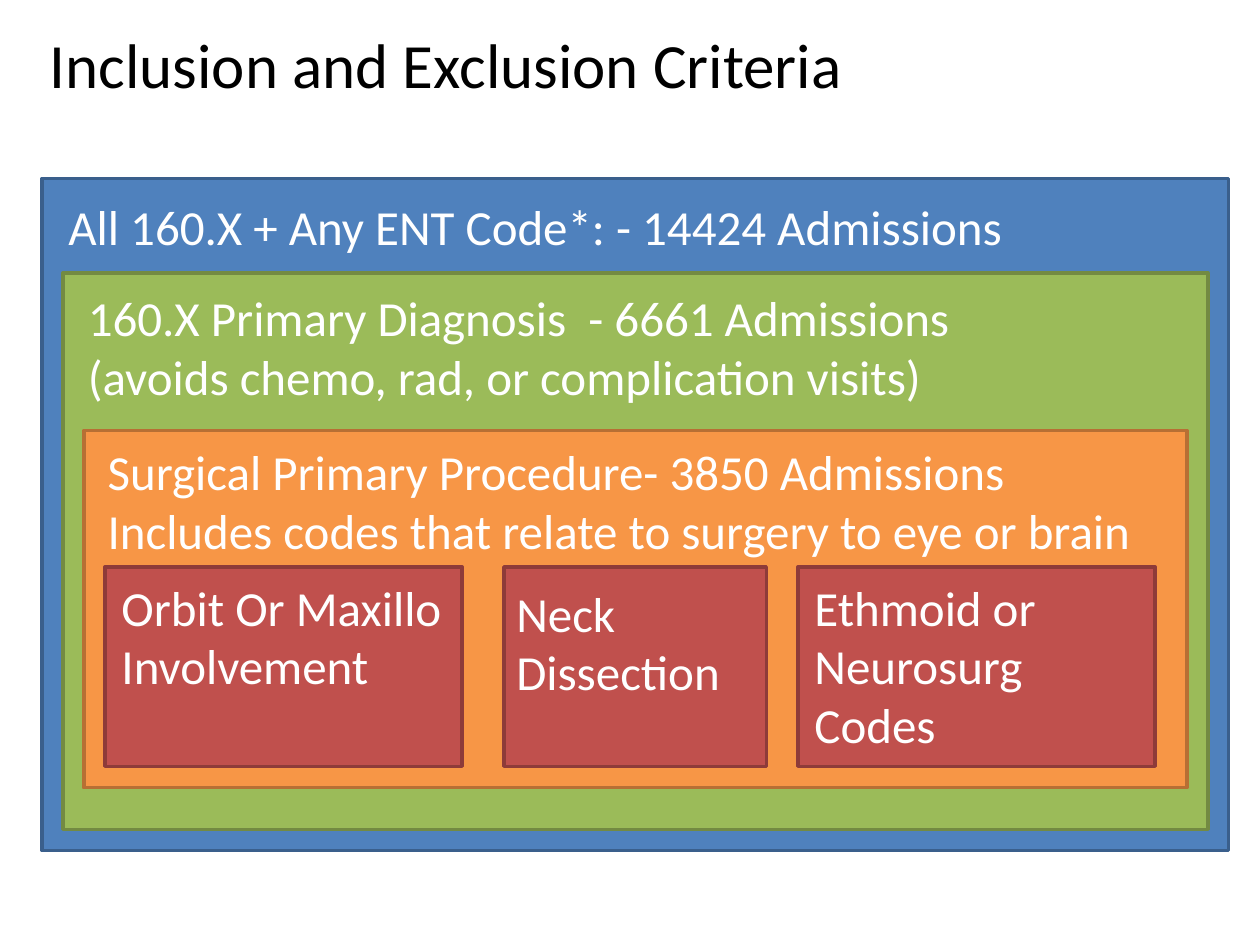
"""Build the slide of nested inclusion and exclusion criteria."""
from pptx import Presentation
from pptx.dml.color import RGBColor
from pptx.enum.shapes import MSO_SHAPE
from pptx.enum.text import MSO_ANCHOR, PP_ALIGN
from pptx.util import Cm, Pt

RECTANGLE = MSO_SHAPE.RECTANGLE
TOP, MIDDLE = MSO_ANCHOR.TOP, MSO_ANCHOR.MIDDLE
LEFT, CENTER = PP_ALIGN.LEFT, PP_ALIGN.CENTER

COLORS = {
    "black": "000000", "white": "FFFFFF",
    "blue": "4F81BD", "blue line": "3A5F8C",
    "green": "9BBB59", "green line": "738A42",
    "orange": "F79646", "orange line": "B76F34",
    "red": "C0504D", "red line": "8E3B39",
}
TITLE = "Inclusion and Exclusion Criteria"
NESTED_LEVELS = [
    {"color": "blue", "top": 3.6, "bottom": 17.15, "label": (0.28, 0.23, 19.58, 2.64),
     "lines": ["All 160.X + Any ENT Code*: - 14424 Admissions"]},
    {"color": "green", "top": 5.5, "bottom": 16.72, "label": (0.25, 0.18, 22.4, 3),
     "lines": ["160.X Primary Diagnosis  - 6661 Admissions",
               "(avoids chemo, rad, or complication visits)"]},
    {"color": "orange", "top": 8.68, "bottom": 15.88, "label": (0.23, 0.1, 21.56, 2.64),
     "lines": ["Surgical Primary Procedure- 3850 Admissions",
               "Includes codes that relate to surgery to eye or brain"]},
]
SUBGROUPS = [
    {"left": 2.12, "width": 7.2, "label": (0.08, 0.08, 6.98, 2.18),
     "lines": ["Orbit Or Maxillo Involvement"]},
    {"left": 10.16, "width": 5.29, "label": (0, 0.2, 5.13, 1.45),
     "lines": ["Neck Dissection"]},
    {"left": 16.09, "width": 7.2, "label": (0.08, 0.08, 6.98, 3.84),
     "lines": ["Ethmoid or Neurosurg Codes"]},
]
OUTER_LEFT, OUTER_WIDTH, INSET = 0.85, 23.92, 0.42
SUBGROUP_TOP, SUBGROUP_HEIGHT = 11.43, 4.02


def color(name):
    return RGBColor.from_string(COLORS[name])


def write_text(shape, lines, size=28, font_color="white", align=LEFT, anchor=TOP):
    frame = shape.text_frame
    frame.word_wrap = True
    frame.vertical_anchor = anchor
    frame.text = "\n".join(lines)
    for paragraph in frame.paragraphs:
        paragraph.alignment = align
        font = paragraph.runs[0].font
        font.name, font.size = "Calibri", Pt(size)
        font.color.rgb = color(font_color)


def add_box(slide, fill, left, top, width, height, label, lines):
    group = slide.shapes.add_group_shape()
    box = group.shapes.add_shape(RECTANGLE, Cm(left), Cm(top), Cm(width), Cm(height))
    box.shadow.inherit = False
    box.fill.solid()
    box.fill.fore_color.rgb = color(fill)
    box.line.color.rgb = color(fill + " line")
    box.line.width = Pt(2)
    offset_x, offset_y, label_width, label_height = label
    text_box = group.shapes.add_textbox(
        Cm(left + offset_x), Cm(top + offset_y), Cm(label_width), Cm(label_height))
    write_text(text_box, lines)


def main():
    presentation = Presentation()
    presentation.slide_width, presentation.slide_height = Cm(25.4), Cm(19.05)
    slide = presentation.slides.add_slide(presentation.slide_layouts[5])

    title = slide.shapes.title
    title.left, title.top, title.width, title.height = Cm(0), Cm(0), Cm(17.98), Cm(2.54)
    write_text(title, [TITLE], size=36, font_color="black", align=CENTER, anchor=MIDDLE)

    for depth, level in enumerate(NESTED_LEVELS):
        add_box(slide, level["color"], OUTER_LEFT + depth * INSET, level["top"],
                OUTER_WIDTH - 2 * depth * INSET, level["bottom"] - level["top"],
                level["label"], level["lines"])
    for subgroup in SUBGROUPS:
        add_box(slide, "red", subgroup["left"], SUBGROUP_TOP, subgroup["width"],
                SUBGROUP_HEIGHT, subgroup["label"], subgroup["lines"])

    presentation.save("out.pptx")


if __name__ == "__main__":
    main()
